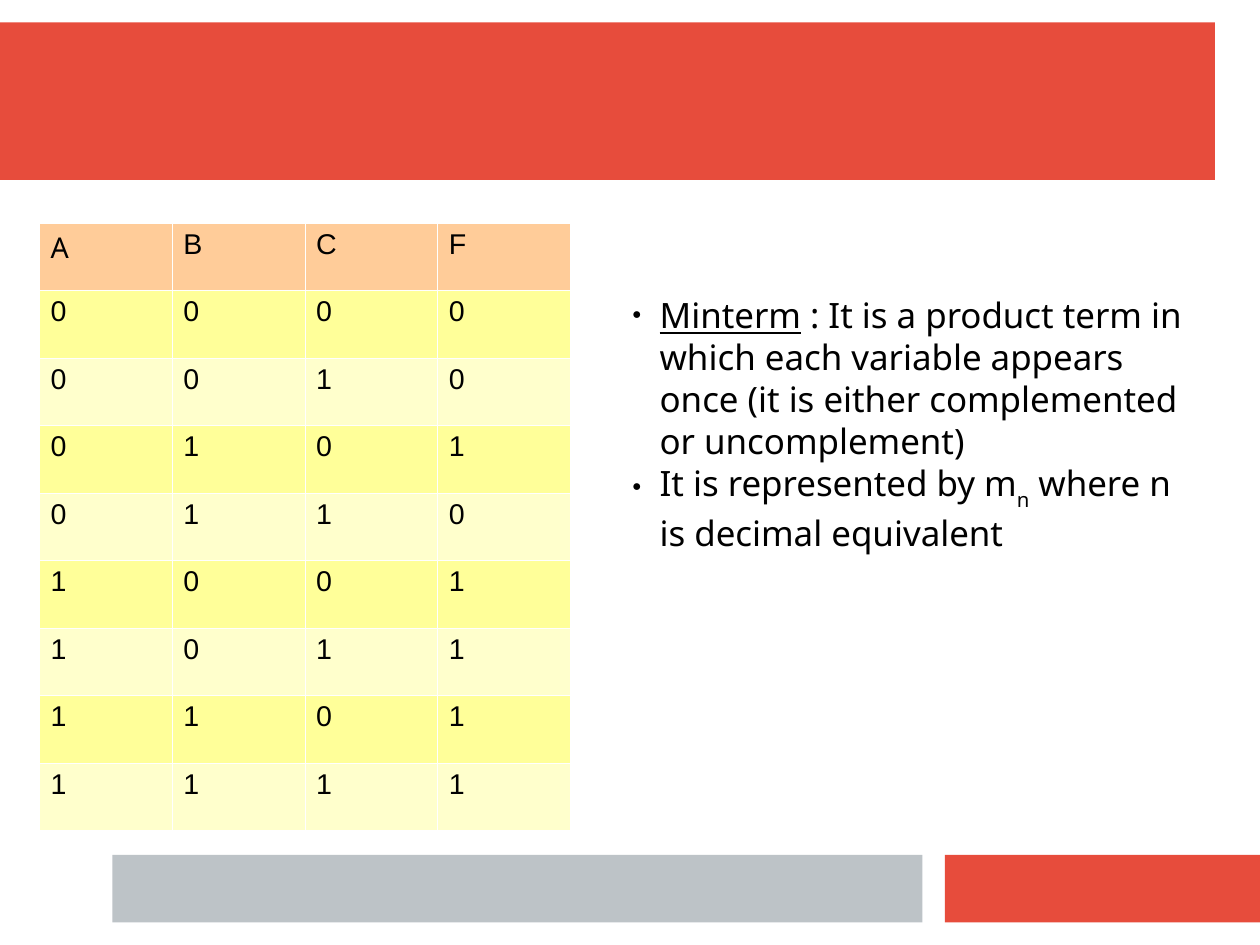
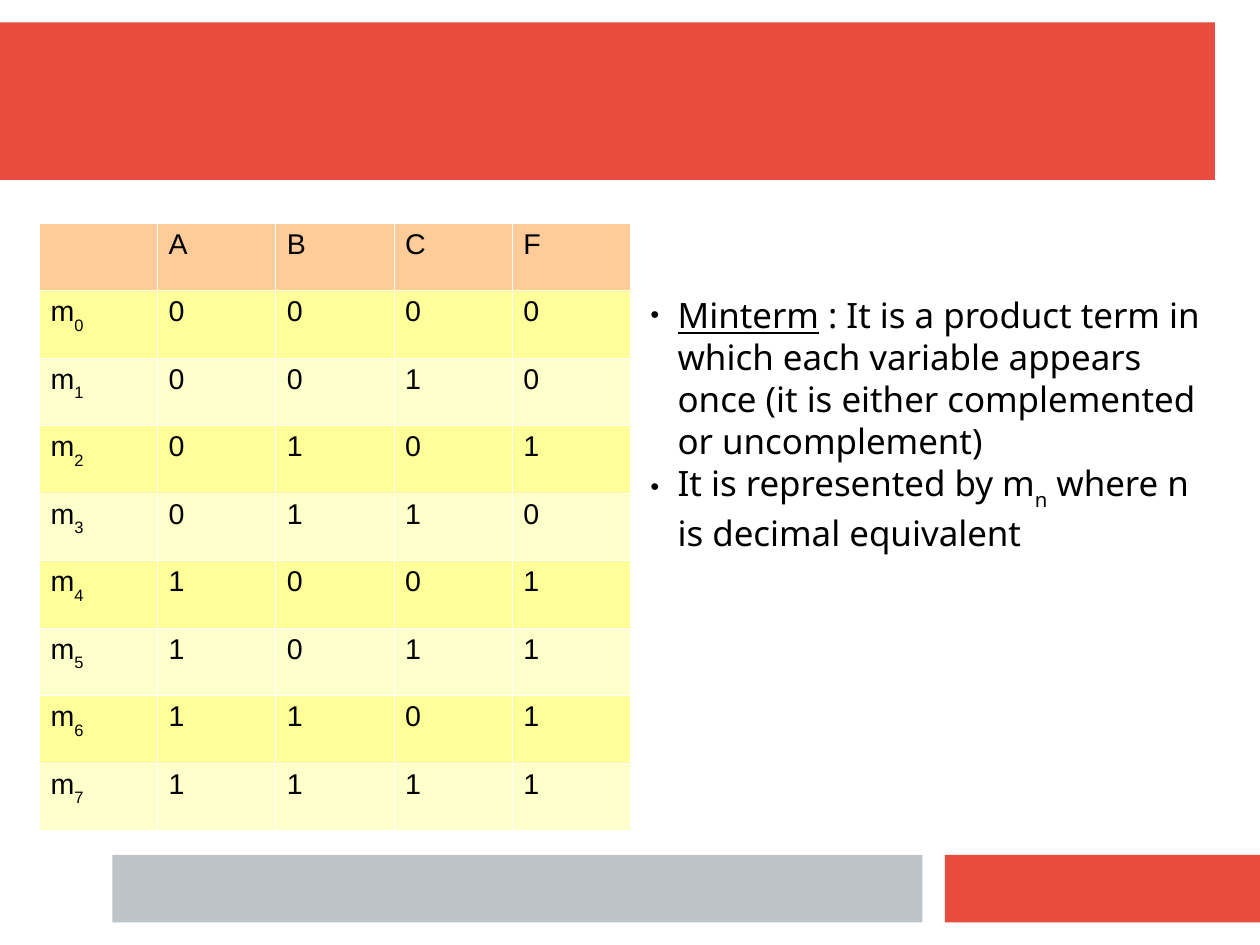
from dataclasses import dataclass
from itertools import product

from lxml.etree import SubElement as add_element
from pptx import Presentation
from pptx.dml.color import RGBColor as Color
from pptx.enum.shapes import MSO_SHAPE as ShapeKind
from pptx.oxml.ns import qn
from pptx.util import Cm, Inches, Pt


@dataclass(frozen=True)
class Theme:
    width: int = Cm(28)
    height: int = Cm(21)
    columns: int = 28
    rows: int = 21
    red: str = "E74C3C"
    grey: str = "BDC3C7"
    black: str = "000000"
    white: str = "FFFFFF"
    header: str = "FFCC99"
    stripes: tuple = ("FFFF99", "FFFFCC")
    body_font: str = "Noto Sans"
    table_font: str = "Arial"
    body_size: int = 22
    table_size: int = 18
    border_width: float = 0.06


class Deck:
    """Holds the theme and the current slide; lengths are grid columns and rows."""

    def __init__(self, theme):
        self.theme = theme
        self.presentation = Presentation()
        self.presentation.slide_width = theme.width
        self.presentation.slide_height = theme.height
        self.slide = None

    def across(self, columns):
        return round(self.theme.width * columns / self.theme.columns)

    def down(self, rows):
        return round(self.theme.height * rows / self.theme.rows)

    def box(self, left, top, width, height):
        return self.across(left), self.down(top), self.across(width), self.down(height)

    def add_slide(self):
        self.slide = self.presentation.slides.add_slide(self.presentation.slide_layouts[6])
        # Title band and the two footer bands
        self.add_band(0, 0.5, 27, 3.5, self.theme.red)
        self.add_band(21, 19, 7, 1.5, self.theme.red)
        self.add_band(2.5, 19, 18, 1.5, self.theme.grey)

    def add_band(self, left, top, width, height, color):
        shape = self.slide.shapes.add_shape(ShapeKind.RECTANGLE, *self.box(left, top, width, height))
        shape.shadow.inherit = False
        shape.fill.solid()
        shape.fill.fore_color.rgb = Color.from_string(color)
        shape.line.fill.background()

    def add_runs(self, paragraph, runs, **style):
        """Write (text, format) pairs; the format "subscript" lowers a run."""
        for text, extra in runs:
            run = paragraph.add_run()
            run.text = text
            formats = {**style, **extra}
            if formats.pop("subscript", False):
                run._r.get_or_add_rPr().set("baseline", "-33000")
            for name, value in formats.items():
                setattr(run.font, name, value)
            run.font.color.rgb = Color.from_string(self.theme.black)

    def add_bullets(self, left, top, width, height, bullets):
        frame = self.slide.shapes.add_textbox(*self.box(left, top, width, height)).text_frame
        frame.word_wrap = True
        for index, runs in enumerate(bullets):
            paragraph = frame.add_paragraph() if index else frame.paragraphs[0]
            self.add_runs(paragraph, runs, name=self.theme.body_font, size=Pt(self.theme.body_size))
            properties = paragraph._p.get_or_add_pPr()
            indent = Inches(0.24)
            properties.set("marL", str(indent))
            properties.set("indent", str(-indent))
            bullet_color = add_element(properties, qn("a:buClr"))
            add_element(bullet_color, qn("a:srgbClr"), val=self.theme.black)
            add_element(properties, qn("a:buSzPct"), val="45000")
            add_element(properties, qn("a:buFont"), typeface=self.theme.table_font)
            add_element(properties, qn("a:buChar"), char="●")

    def add_borders(self, cell):
        properties = cell._tc.get_or_add_tcPr()
        for side in ("lnL", "lnR", "lnT", "lnB"):
            line = add_element(properties, qn(f"a:{side}"), w=str(Pt(self.theme.border_width)))
            fill = add_element(line, qn("a:solidFill"))
            add_element(fill, qn("a:srgbClr"), val=self.theme.white)

    def add_table(self, left, top, width, row_height, rows):
        count = len(rows[0])
        table = self.slide.shapes.add_table(
            len(rows), count, *self.box(left, top, width, row_height * len(rows))).table
        table.first_row = table.horz_banding = False
        for column in table.columns:
            column.width = self.across(width / count)
        for row_index, values in enumerate(rows):
            table.rows[row_index].height = self.down(row_height)
            color = self.theme.stripes[(row_index - 1) % 2] if row_index else self.theme.header
            for column_index, runs in enumerate(values):
                cell = table.cell(row_index, column_index)
                self.add_borders(cell)
                cell.fill.solid()
                cell.fill.fore_color.rgb = Color.from_string(color)
                self.add_runs(cell.text_frame.paragraphs[0], runs,
                              name=self.theme.table_font, size=Pt(self.theme.table_size))


def plain(text):
    return [(text, {})]


def with_subscript(text, subscript):
    return [(text, {}), (subscript, {"subscript": True})]


theme = Theme()
deck = Deck(theme)

# Content shared by both slides
minterm_bullets = [
    [("Minterm", {"underline": True}),
     (" : It is a product term in which each variable appears once "
      "(it is either complemented or uncomplement)", {})],
    with_subscript("It is represented by m", "n") + plain(" where n is decimal equivalent"),
]
header = [plain(name) for name in "ABCF"]
truth_rows = [[plain(bit) for bit in (*inputs, output)]
              for inputs, output in zip(product("01", repeat=3), "00101111")]

# Slide 1: truth table
deck.add_slide()
first_header = [[("A", {"name": theme.body_font})], *header[1:]]
deck.add_table(0.87, 4.95, 11.8, 1.5, [first_header, *truth_rows])
deck.add_bullets(13.8, 6.4, 13.2, 10.4, minterm_bullets)

# Slide 2: truth table with minterm labels
deck.add_slide()
labelled_rows = [[with_subscript("m", str(number)), *row] for number, row in enumerate(truth_rows)]
deck.add_table(0.87, 4.95, 13.13, 1.5, [[[], *header], *labelled_rows])
deck.add_bullets(14.2, 6.4, 12.8, 10.4, minterm_bullets)

deck.presentation.save("out.pptx")
